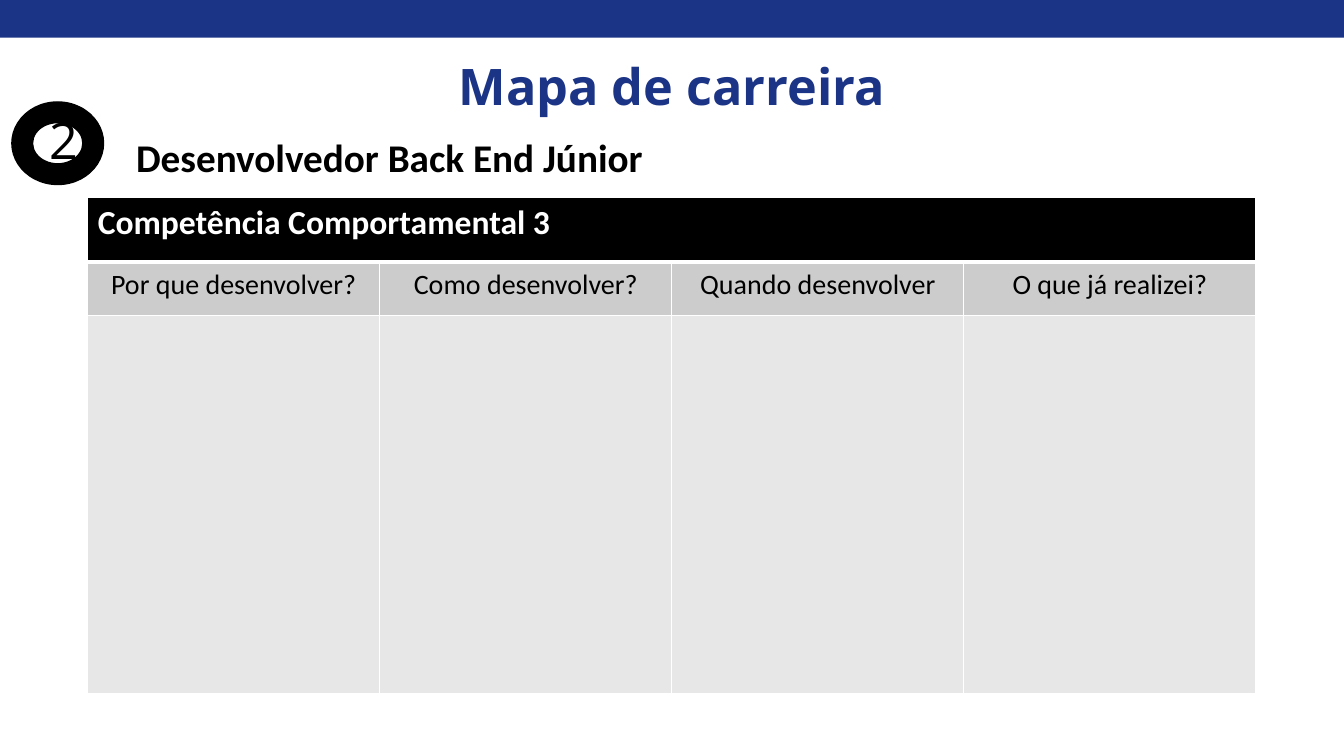
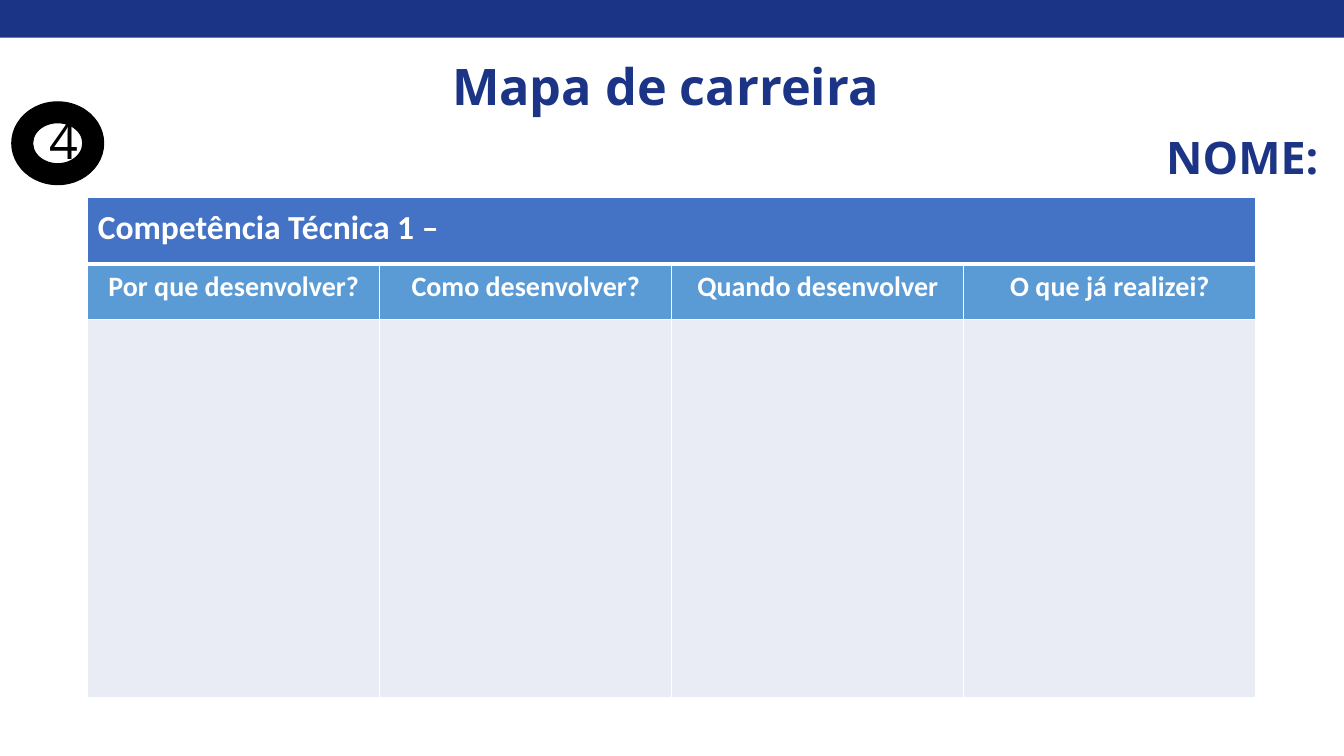
"""Build two career map slides, each with a numbered ring and a competence table."""
from lxml import etree
from pptx import Presentation
from pptx import util as u
from pptx.dml.color import RGBColor
from pptx.enum import shapes, text
from pptx.oxml.ns import qn

NAVY, BLACK, WHITE = "1C3485", "000000", "FFFFFF"
LEFT, CENTER, RIGHT = text.PP_ALIGN.LEFT, text.PP_ALIGN.CENTER, text.PP_ALIGN.RIGHT
TOP, MIDDLE, BOTTOM = text.MSO_ANCHOR.TOP, text.MSO_ANCHOR.MIDDLE, text.MSO_ANCHOR.BOTTOM
TITLE = {"size": 36, "name": "Open Sans", "bold": True, "color": NAVY}
NUMBER = {**TITLE, "bold": False, "color": BLACK}
ROLE = {"size": 28, "name": "Calibri", "bold": True, "color": BLACK}
PERSON = {**TITLE, "size": 32}
HEADING = {**ROLE, "size": 24, "color": WHITE}
QUESTION = {**HEADING, "size": 20}

QUESTIONS = ["Por que desenvolver?", "Como desenvolver?", "Quando desenvolver", "O que já realizei?"]
SLIDES = [
    {"title": "Mapa de carreira", "number": "2",
     "label": ("Desenvolvedor Back End Júnior", ROLE, LEFT, TOP, 1), "label_box": (3.18, 3.23, 16.97, 1.45),
     "heading": "Competência Comportamental 3", "heading_top": 0.13, "rows": (1.63, 1.35, 9.53),
     "fills": (BLACK, "CCCCCC", "E7E7E7"), "question": {**QUESTION, "bold": False, "color": BLACK}},
    {"title": "Mapa de carreira ", "number": "4",
     "label": ("NOME:", PERSON, RIGHT, MIDDLE, 0.9), "label_box": (4.27, 2.84, 29.21, 2.36),
     "heading": "Competência Técnica 1 –", "heading_top": 0.26, "rows": (1.68, 1.4, 9.53),
     "fills": ("4472C4", "5B9BD5", "E9EBF5"), "question": QUESTION},
]


def rgb(color):
    return RGBColor.from_string(color)


def write(tf, words, style, align=LEFT, anchor=TOP, spacing=1):
    tf.vertical_anchor = anchor
    p = tf.paragraphs[0]
    p.alignment, p.line_spacing = align, spacing
    r = p.add_run()
    r.text = words
    for key, value in style.items():
        if key == "color":
            r.font.color.rgb = rgb(value)
        else:
            setattr(r.font, key, u.Pt(value) if key == "size" else value)


prs = Presentation()
prs.slide_width, prs.slide_height = u.Cm(33.87), u.Cm(19.05)

for page in SLIDES:
    s = prs.slides.add_slide(prs.slide_layouts[6])

    band = s.shapes.add_shape(shapes.MSO_SHAPE.RECTANGLE, 0, 0, prs.slide_width, u.Cm(0.95))
    band.shadow.inherit = False
    band.fill.solid()
    band.fill.fore_color.rgb = rgb(NAVY)
    band.line.fill.background()

    title = s.shapes.add_textbox(u.Cm(2.33), u.Cm(0.69), u.Cm(29.21), u.Cm(2.36))
    title.text_frame.word_wrap = True
    write(title.text_frame, page["title"], TITLE, CENTER, BOTTOM, 0.9)

    rows = page["rows"]
    frame = s.shapes.add_table(3, 4, u.Cm(2.21), u.Cm(4.98), u.Cm(29.44), u.Cm(sum(rows)))
    table = frame.table
    table.first_row = table.horz_banding = False
    for col in table.columns:
        col.width = u.Cm(7.36)
    for i, (height, fill) in enumerate(zip(rows, page["fills"])):
        table.rows[i].height = u.Cm(height)
        for j in range(4):
            cell = table.cell(i, j)
            tcPr = cell._tc.get_or_add_tcPr()
            for side in "LRTB":
                thick = (i, side) in [(0, "B"), (1, "T")]
                ln = etree.SubElement(tcPr, qn(f"a:ln{side}"), w=str(u.Pt(3 if thick else 1)))
                etree.SubElement(etree.SubElement(ln, qn("a:solidFill")), qn("a:srgbClr"), val=WHITE)
            cell.fill.solid()
            cell.fill.fore_color.rgb = rgb(fill)
    heading = table.cell(0, 0)
    heading.merge(table.cell(0, 3))
    heading.margin_top = u.Cm(page["heading_top"])
    write(heading.text_frame, page["heading"], HEADING)
    for j, question in enumerate(QUESTIONS):
        write(table.cell(1, j).text_frame, question, page["question"], CENTER)

    number = s.shapes.add_textbox(u.Cm(0.99), u.Cm(2.62), u.Cm(1.2), u.Cm(1.8))
    number.text_frame.word_wrap = False
    write(number.text_frame, page["number"], NUMBER)

    ring = s.shapes.add_shape(shapes.MSO_SHAPE.DONUT, u.Cm(0.3), u.Cm(2.57), u.Cm(2.31), u.Cm(2.08))
    ring.shadow.inherit = False
    ring.fill.solid()
    ring.fill.fore_color.rgb = ring.line.color.rgb = rgb(BLACK)
    ring.line.width = u.Pt(1)

    label = s.shapes.add_textbox(*map(u.Cm, page["label_box"]))
    label.text_frame.word_wrap = True
    write(label.text_frame, *page["label"])

prs.save("out.pptx")
